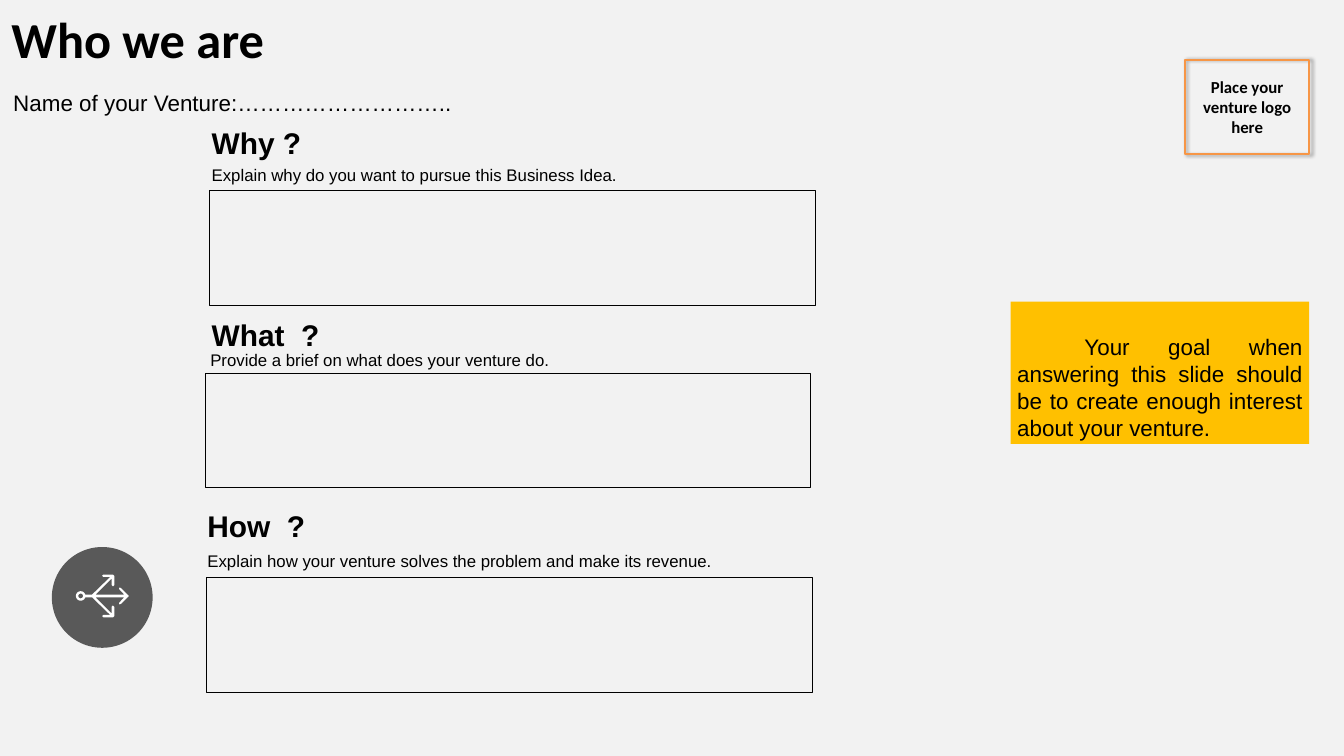
from math import cos, radians, sin

from lxml.etree import SubElement
from pptx import Presentation
from pptx.dml.color import RGBColor
from pptx.enum.shapes import MSO_SHAPE
from pptx.enum.text import MSO_ANCHOR, PP_ALIGN
from pptx.oxml.ns import qn
from pptx.util import Cm, Pt

BLACK, ORANGE, AMBER, GREY, WHITE = "000000", "F79646", "FFC000", "595959", "FFFFFF"

TITLE = {"size": Pt(54), "name": "Calibri", "bold": True}
HEADING = {"size": Pt(32), "name": "Arial", "bold": True}
BODY = {"size": Pt(24), "name": "Arial"}
PROMPT = {"size": Pt(18), "name": "Arial"}
LOGO = {"size": Pt(18), "name": "Calibri", "bold": True}

# Text, format, (left, top, width, height) in cm
INTRO = [
    ("Who we are", TITLE, (0.18, 0.18, 25.55, 2.57)),
    ("Name of your Venture:………………………..", BODY, (0.25, 3.23, 17.25, 1.27)),
]

# Each part of a section: text, left, top, width in cm; the answer box: left, top
SECTIONS = [
    (("Why ?", 7.75, 4.6, 4.24),
     ("Explain why do you want to pursue this Business Idea.", 7.75, 6.1, 16.23),
     (7.92, 7.19)),
    (("What  ?", 7.75, 11.86, 4.93),
     ("Provide a brief on what does your venture do.", 7.7, 13.11, 13.44),
     (7.75, 14.1)),
    (("How  ?", 7.59, 19.05, 4.57),
     ("Explain how your venture solves the problem and make its revenue.", 7.59, 20.7, 20.24),
     (7.8, 21.82)),
]
ANSWER_SIZE = (22.89, 4.34)

GOAL = "Your goal when answering this slide should be to create enough interest about your venture."
GOAL_BOX = (38.2, 11.4, 11.28, 5.38)
LOGO_HINT = "Place your venture logo here"
LOGO_FRAME = (44.78, 2.26, 4.7, 3.58)
LOGO_TEXT = (45.16, 2.79, 3.96, 2.49)

DISC = (1.96, 20.68, 3.81, 3.81)
AXIS_Y, RING_X, RING_OUTER, RING_INNER = 22.53, 3.05, 0.18, 0.09
# Upper half of the three-way arrow, from its tip: x, height above the axis
ARROW_HALF = [
    (4.87, 0), (4.57, 0.3), (4.52, 0.32), (4.5, 0.28), (4.52, 0.24), (4.7, 0.05),
    (3.61, 0.05), (4.22, 0.66), (4.22, 0.41), (4.27, 0.36), (4.32, 0.41),
    (4.32, 0.76), (4.27, 0.81), (3.91, 0.81), (3.86, 0.76), (3.91, 0.72),
    (4.17, 0.72), (3.48, 0.05), (3.23, 0.05),
]


def rgb(color):
    return RGBColor.from_string(color)


def style(s, fill=None, line=None, width=0.75):
    s.shadow.inherit = False
    if fill:
        s.fill.solid()
        s.fill.fore_color.rgb = rgb(fill)
    else:
        s.fill.background()
    if line:
        s.line.color.rgb = rgb(line)
        s.line.width = Pt(width)
    else:
        s.line.fill.background()
    return s


def add_box(shapes, kind, place, **look):
    return style(shapes.add_shape(kind, *map(Cm, place)), **look)


def write(s, text, fmt, align=PP_ALIGN.LEFT):
    tf = s.text_frame
    tf.word_wrap = True
    p = tf.paragraphs[0]
    p.alignment = align
    r = p.add_run()
    r.text = text
    r.font.color.rgb = rgb(BLACK)
    for name, value in fmt.items():
        setattr(r.font, name, value)
    return tf


def add_text(shapes, text, fmt, place, **options):
    return write(shapes.add_textbox(*map(Cm, place)), text, fmt, **options)


def cast_shadow(s):
    """Give the shape a soft shadow to its right."""
    effects = s._element.spPr.find(qn("a:effectLst"))
    shadow = SubElement(effects, qn("a:outerShdw"), blurRad=str(Pt(4)),
                        dist=str(Pt(3)), dir="0", rotWithShape="0")
    color = SubElement(shadow, qn("a:srgbClr"), val=BLACK)
    SubElement(color, qn("a:alpha"), val="40000")


def arc(radius, start, end):
    """Points on the ring as x and height above the axis."""
    return [(RING_X + radius * cos(radians(a)), radius * sin(radians(a)))
            for a in range(start, end + 1, 15)]


def add_icon(shapes):
    icon = shapes.add_group_shape().shapes
    add_box(icon, MSO_SHAPE.OVAL, DISC, fill=GREY)
    upper = ARROW_HALF + arc(RING_OUTER, 15, 180)
    lower = [(x, -h) for x, h in reversed(upper[1:-1])]
    outline, hole = [
        [(Cm(x), Cm(AXIS_Y - h)) for x, h in points]
        for points in (upper + lower, arc(RING_INNER, 0, 345))
    ]
    pen = icon.build_freeform(*outline[0])
    pen.add_line_segments(outline[1:])
    pen.move_to(*hole[0])
    pen.add_line_segments(hole[1:])
    style(pen.convert_to_shape(), fill=WHITE)


def main():
    prs = Presentation()
    prs.slide_width, prs.slide_height = Cm(50.8), Cm(28.58)
    slide = prs.slides.add_slide(prs.slide_layouts[6])
    slide.background.fill.solid()
    slide.background.fill.fore_color.rgb = rgb("F2F2F2")
    shapes = slide.shapes

    add_icon(shapes)
    for text, fmt, place in INTRO:
        add_text(shapes, text, fmt, place)

    goal = add_box(shapes, MSO_SHAPE.RECTANGLE, GOAL_BOX, fill=AMBER)
    tf = write(goal, GOAL, BODY, align=PP_ALIGN.JUSTIFY)
    tf.vertical_anchor = MSO_ANCHOR.BOTTOM
    tf.paragraphs[0]._p.get_or_add_pPr().set("indent", str(Cm(2.54)))

    cast_shadow(add_box(shapes, MSO_SHAPE.RECTANGLE, LOGO_FRAME, line=ORANGE, width=2))
    tf = add_text(shapes, LOGO_HINT, LOGO, LOGO_TEXT, align=PP_ALIGN.CENTER)
    tf.margin_left = tf.margin_right = Cm(0.18)
    tf.margin_top = tf.margin_bottom = Cm(0.1)

    for heading, prompt, corner in SECTIONS:
        for (text, *place), fmt, height in ((heading, HEADING, 1.63), (prompt, PROMPT, 1.02)):
            add_text(shapes, text, fmt, (*place, height))
        add_box(shapes, MSO_SHAPE.RECTANGLE, corner + ANSWER_SIZE, line=BLACK)

    prs.save("out.pptx")


if __name__ == "__main__":
    main()
